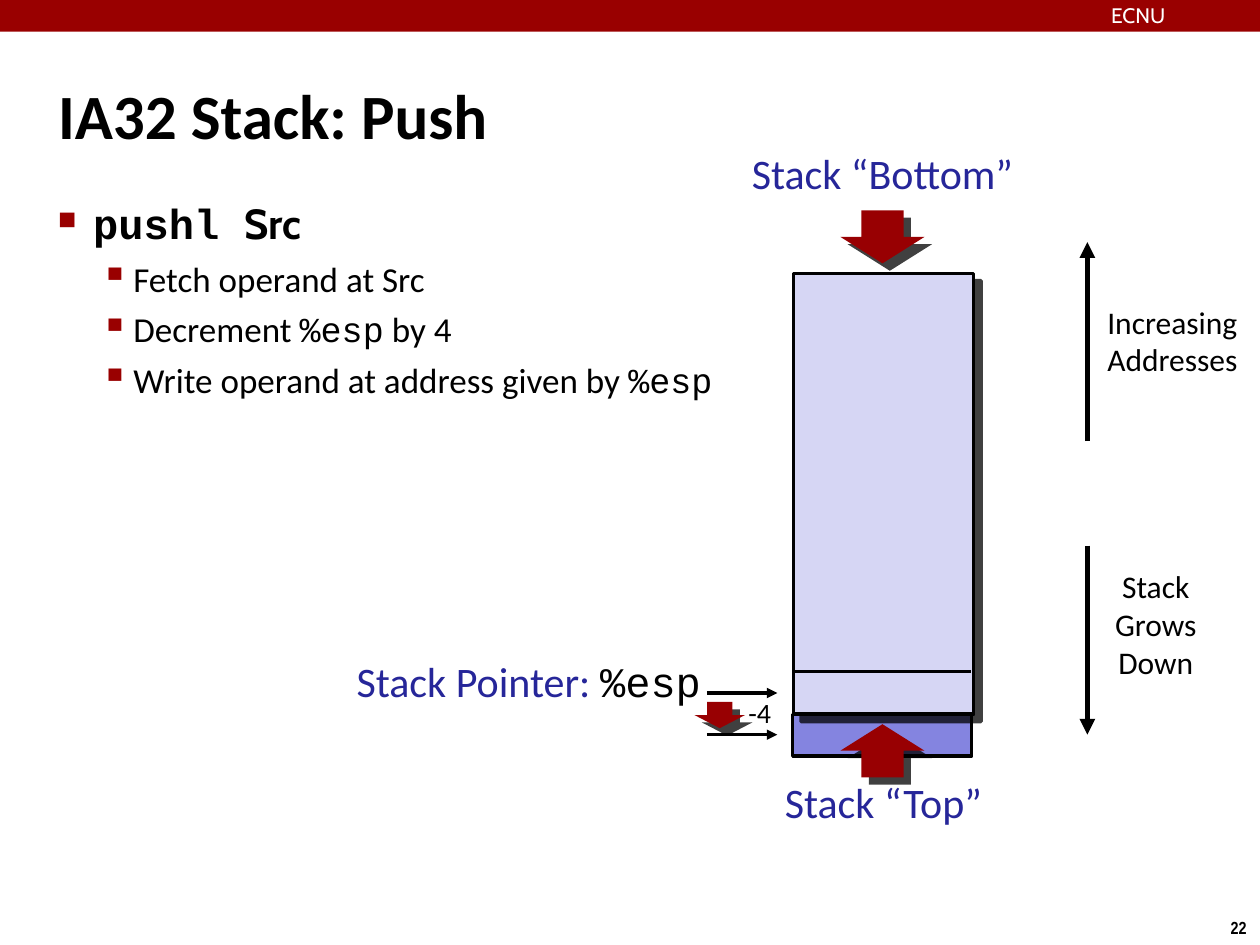
from lxml.etree import SubElement as Sub
from pptx import Presentation
from pptx.dml.color import RGBColor
from pptx.enum.shapes import MSO_CONNECTOR as Link, MSO_SHAPE as Form
from pptx.enum.text import MSO_ANCHOR as Anchor, MSO_AUTO_SIZE as Fit, PP_ALIGN as Align
from pptx.oxml.ns import qn
from pptx.util import Cm, Pt

RED, DARK, BLUE, BLACK, WHITE = "990000", "980002", "262699", "000000", "FFFFFF"
CODE = "Courier New"


def tint(code):
    return RGBColor.from_string(code)


def write(para, text, font="Calibri", size=18, color=BLACK, bold=False):
    run = para.add_run()
    run.text = text
    run.font.name, run.font.size, run.font.bold = font, Pt(size), bold
    run.font.color.rgb = tint(color)


class Deck:
    """Holds the style and the current slide."""

    def __init__(self):
        self.prs = Presentation()
        self.prs.slide_width, self.prs.slide_height = Cm(25.4), Cm(19.05)
        self.slide = self.prs.slides.add_slide(self.prs.slide_layouts[5])
        self.shapes = self.slide.shapes

    def frame(self, shape, inset=0, wrap=True, grow=False, anchor=Anchor.TOP):
        frame = shape.text_frame
        frame.margin_left = frame.margin_right = Cm(inset)
        frame.margin_top = frame.margin_bottom = Cm(inset)
        frame.word_wrap, frame.vertical_anchor = wrap, anchor
        frame.auto_size = Fit.SHAPE_TO_FIT_TEXT if grow else Fit.NONE
        return frame

    def title(self, text, *place):
        shape = self.shapes.title
        shape.left, shape.top, shape.width, shape.height = map(Cm, place)
        para = self.frame(shape, 0.1, anchor=Anchor.MIDDLE).paragraphs[0]
        para.alignment = Align.LEFT
        write(para, text, size=36, bold=True)

    def fill(self, frame, lines, align, **style):
        """Each line is a list of (text, format) runs."""
        for n, runs in enumerate(lines):
            para = frame.add_paragraph() if n else frame.paragraphs[0]
            para.alignment = align
            for text, extra in runs:
                write(para, text, **{**style, **extra})

    def label(self, runs, *place, align=Align.CENTER, inset=0, wrap=False, **style):
        box = self.shapes.add_textbox(*map(Cm, place))
        frame = self.frame(box, inset, wrap, grow=not wrap)
        self.fill(frame, [runs], align, **style)

    def note(self, lines, *place, **layout):
        frame = self.frame(self.shape(Form.RECTANGLE, WHITE, *place), **layout)
        self.fill(frame, [[(line, {})] for line in lines], Align.CENTER)

    def bullets(self, items, *place):
        frame = self.frame(self.shapes.add_textbox(*map(Cm, place)), 0.1)
        for n, runs in enumerate(items):
            para = frame.add_paragraph() if n else frame.paragraphs[0]
            para.level = min(n, 1)
            if n:
                para.space_before = Pt(5)
            left, hang, scale, mark = (1.52, 0.66, 110, "▪") if n else (0.71, 0.71, 60, "■")
            props = para._p.get_or_add_pPr()
            props.set("marL", str(Cm(left)))
            props.set("indent", str(-Cm(hang)))
            Sub(Sub(props, qn("a:buClr")), qn("a:srgbClr"), val=RED)
            Sub(props, qn("a:buSzPct"), val=str(scale * 1000))
            Sub(props, qn("a:buChar"), char=mark)
            for text, style in runs:
                write(para, text, **{"size": 20, **style})

    def shape(self, form, color, *place, edge=0, shade=False):
        shape = self.shapes.add_shape(form, *map(Cm, place))
        shape.fill.solid()
        shape.fill.fore_color.rgb = tint(color)
        if edge:
            shape.line.color.rgb, shape.line.width = tint(BLACK), Pt(edge)
        else:
            shape.line.fill.background()
        shape.shadow.inherit = False
        if shade:
            cast = Sub(shape._element.spPr.find(qn("a:effectLst")), qn("a:outerShdw"),
                       dist=str(Pt(6)), dir="2700000", algn="ctr", rotWithShape="0")
            Sub(Sub(cast, qn("a:srgbClr"), val=BLACK), qn("a:alpha"), val="75000")
        return shape

    def line(self, x1, y1, x2, y2, width=2, arrow=True):
        line = self.shapes.add_connector(Link.STRAIGHT, *map(Cm, (x1, y1, x2, y2)))
        line.line.color.rgb, line.line.width = tint(BLACK), Pt(width)
        if arrow:
            Sub(line.line._get_or_add_ln(), qn("a:tailEnd"), type="triangle")
        Sub(line._element.spPr, qn("a:effectLst"))


def main():
    deck = Deck()

    # Page frame
    deck.label([("22", {})], 24.54, 18.36, 0.86, 0.69, inset=0.13,
               font="Arial Narrow", size=10, bold=True)
    deck.shape(Form.RECTANGLE, RED, 0, 0, 25.4, 0.64)
    deck.label([("ECNU", {})], 22.4, 0.05, 3, 0.48, align=Align.LEFT, wrap=True,
               font="Cabin", size=12, color=WHITE)

    # Title and steps
    deck.title("IA32 Stack: Push", 1.07, 0.71, 23.29, 3.18)
    code = {"font": CODE}
    head = {"size": 24, "bold": True}
    deck.bullets([
        [("pushl ", {**head, **code}), ("Src", {**head, "font": "Cabin"})],
        [("Fetch operand at Src", {})],
        [("Decrement ", {}), ("%esp", code), (" by 4", {})],
        [("Write operand at address given by ", {}), ("%esp", code)],
    ], 1.07, 3.89, 23.29, 15.09)

    # Pushed word and pointer move
    deck.shape(Form.RECTANGLE, "8484E0", 15.98, 14.4, 3.61, 0.84, edge=2)
    for y in (13.97, 14.81):
        deck.line(14.25, y, 15.67, y)
    deck.label([("-4", {})], 14.96, 13.92, 0.71, 0.89, inset=0.1, size=16)
    deck.shape(Form.DOWN_ARROW, DARK, 14, 14.15, 1.02, 0.53, shade=True)

    # Stack
    deck.shape(Form.RECTANGLE, "D6D6F4", 16, 5.51, 3.63, 8.89, edge=2, shade=True)
    deck.line(15.98, 13.54, 19.58, 13.54, arrow=False)

    # Directions
    deck.line(21.92, 11, 21.92, 14.81, width=3)
    deck.note(["Stack Grows", "Down"], 22.17, 11.43, 2.26, 2.54)
    deck.line(21.92, 8.89, 21.92, 4.88, width=3)
    deck.note(["Increasing", "Addresses"], 22.2, 5.99, 2.87, 1.75,
              wrap=False, grow=True, anchor=Anchor.MIDDLE)

    # Stack ends and pointer
    name = {"size": 24, "color": BLUE}
    deck.label([("Stack “Bottom”", {})], 14.96, 2.97, 5.66, 1.24, **name)
    deck.shape(Form.DOWN_ARROW, DARK, 16.94, 4.24, 1.7, 1.07, shade=True)
    deck.label([("Stack Pointer: ", {}), ("%esp", {"font": CODE, "color": BLACK})],
               6.81, 13.21, 7.32, 1.27, align=Align.RIGHT, **name)
    deck.label([("Stack “Top”", {})], 15.65, 15.65, 4.32, 1.24, **name)
    deck.shape(Form.UP_ARROW, DARK, 16.94, 14.6, 1.7, 1.07, shade=True)

    deck.prs.save("out.pptx")


if __name__ == "__main__":
    main()
